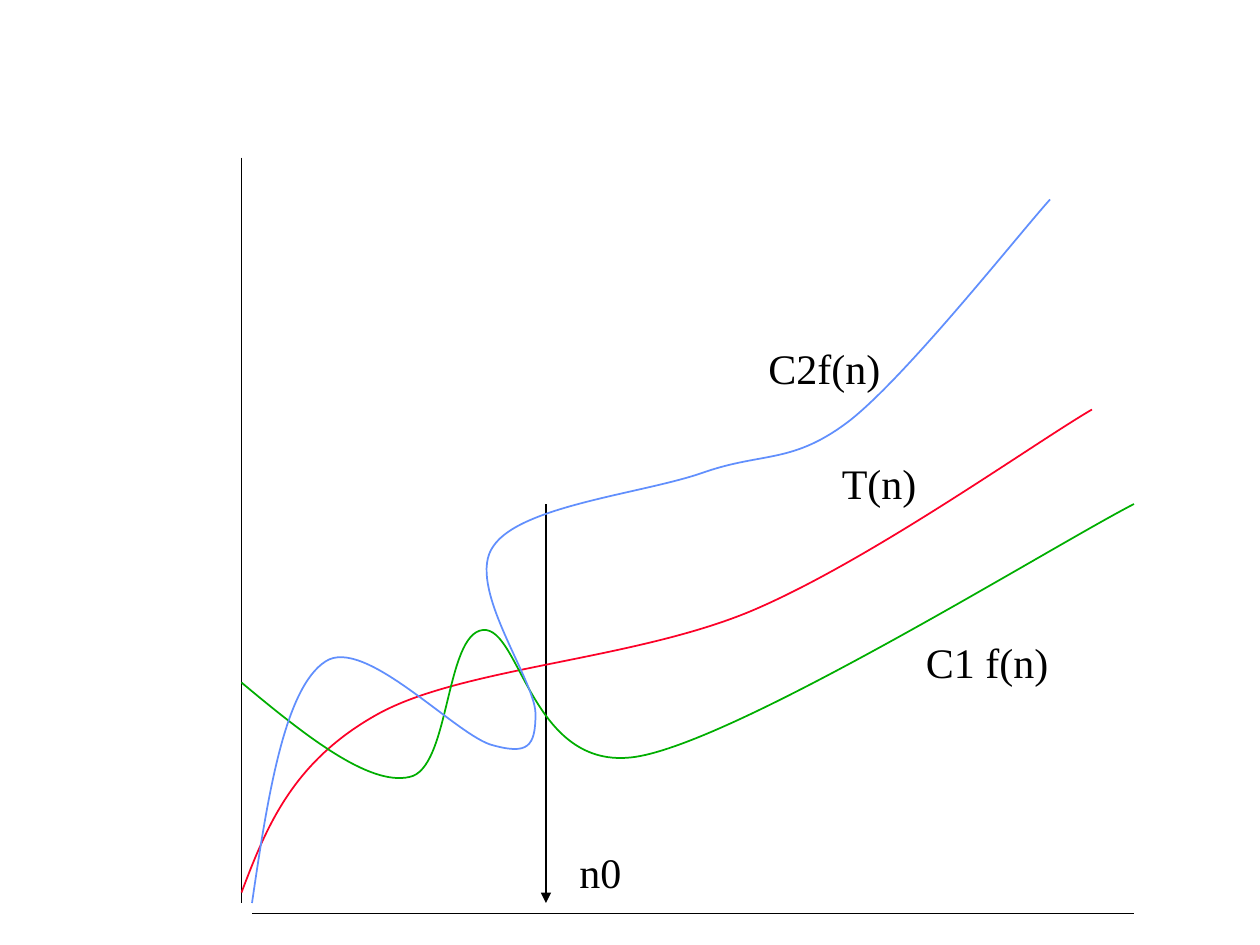
"""Build a slide showing T(n) bounded by C1 f(n) and C2f(n) beyond n0."""
from lxml import etree
from pptx import Presentation
from pptx import util as u
from pptx.dml.color import RGBColor
from pptx.enum import shapes, text
from pptx.oxml import ns

PX = 9525
BLACK = RGBColor(0x00, 0x00, 0x00)
RED = RGBColor(0xFC, 0x01, 0x28)
GREEN = RGBColor(0x00, 0xAE, 0x00)
BLUE = RGBColor(0x61, 0x8F, 0xFD)

AXES = [
    ((184, 120), (184, 448)),
    ((184, 440), (184, 688)),
    ((192, 696), (864, 696)),
]
THRESHOLD = ((416, 384), (416, 688))

CURVES = [
    (RED, [(184, 680),
           (203, 630), (223, 580), (288, 544),
           (353, 508), (486, 503), (576, 464),
           (666, 425), (789, 337), (832, 312)]),
    (GREEN, [(184, 520),
             (232, 560), (281, 599), (312, 592),
             (343, 586), (339, 483), (368, 480),
             (397, 477), (405, 592), (488, 576),
             (570, 560), (802, 416), (864, 384)]),
    (BLUE, [(192, 688),
            (204, 606), (217, 524), (248, 504),
            (278, 484), (349, 562), (376, 568),
            (402, 575), (408, 569), (408, 544),
            (408, 518), (354, 446), (376, 416),
            (397, 385), (491, 376), (536, 360),
            (582, 344), (604, 354), (648, 320),
            (692, 285), (775, 180), (800, 152)]),
]

LABELS = [
    ("n0", 432, 640, 56),
    ("C2f(n)", 576, 256, 112),
    ("T(n)", 632, 344, 104),
    ("C1 f(n)", 696, 480, 120),
]
LABEL_HEIGHT = 48


def style_line(line, color):
    line.color.rgb = color
    line.width = u.Pt(1)


def add_line(page, ends, arrow=False):
    (x1, y1), (x2, y2) = ends
    line = page.shapes.add_connector(
        shapes.MSO_CONNECTOR.STRAIGHT, x1 * PX, y1 * PX, x2 * PX, y2 * PX)
    style_line(line.line, BLACK)
    properties = line._element.spPr
    if arrow:
        etree.SubElement(properties.find(ns.qn("a:ln")), ns.qn("a:tailEnd"), type="triangle")
    etree.SubElement(properties, ns.qn("a:effectLst"))


def bend_segments(curve):
    """Turn each three straight segments into one cubic Bezier segment."""
    outline = next(curve._element.iter(ns.qn("a:path")))
    segments = outline.findall(ns.qn("a:lnTo"))
    for start in range(0, len(segments), 3):
        cubic = etree.SubElement(outline, ns.qn("a:cubicBezTo"))
        for segment in segments[start:start + 3]:
            cubic.append(segment[0])
            outline.remove(segment)


def add_curve(page, color, points):
    builder = page.shapes.build_freeform(*points[0], scale=PX)
    builder.add_line_segments(points[1:], close=False)
    curve = builder.convert_to_shape()
    bend_segments(curve)
    curve.shadow.inherit = False
    curve.fill.background()
    style_line(curve.line, color)


def add_label(page, wording, left, top, width):
    box = page.shapes.add_textbox(left * PX, top * PX, width * PX, LABEL_HEIGHT * PX)
    frame = box.text_frame
    frame.word_wrap = True
    frame.auto_size = text.MSO_AUTO_SIZE.SHAPE_TO_FIT_TEXT
    para = frame.paragraphs[0]
    para.text = wording
    para.space_before = u.Pt(15)
    para.font.name = "Times New Roman"
    para.font.size = u.Pt(24)
    para.font.color.rgb = BLACK


def main():
    deck = Presentation()
    deck.slide_width, deck.slide_height = 960 * PX, 720 * PX
    page = deck.slides.add_slide(deck.slide_layouts[6])
    for ends in AXES:
        add_line(page, ends)
    add_line(page, THRESHOLD, arrow=True)
    for color, points in CURVES:
        add_curve(page, color, points)
    for label in LABELS:
        add_label(page, *label)
    deck.save("out.pptx")


if __name__ == "__main__":
    main()
